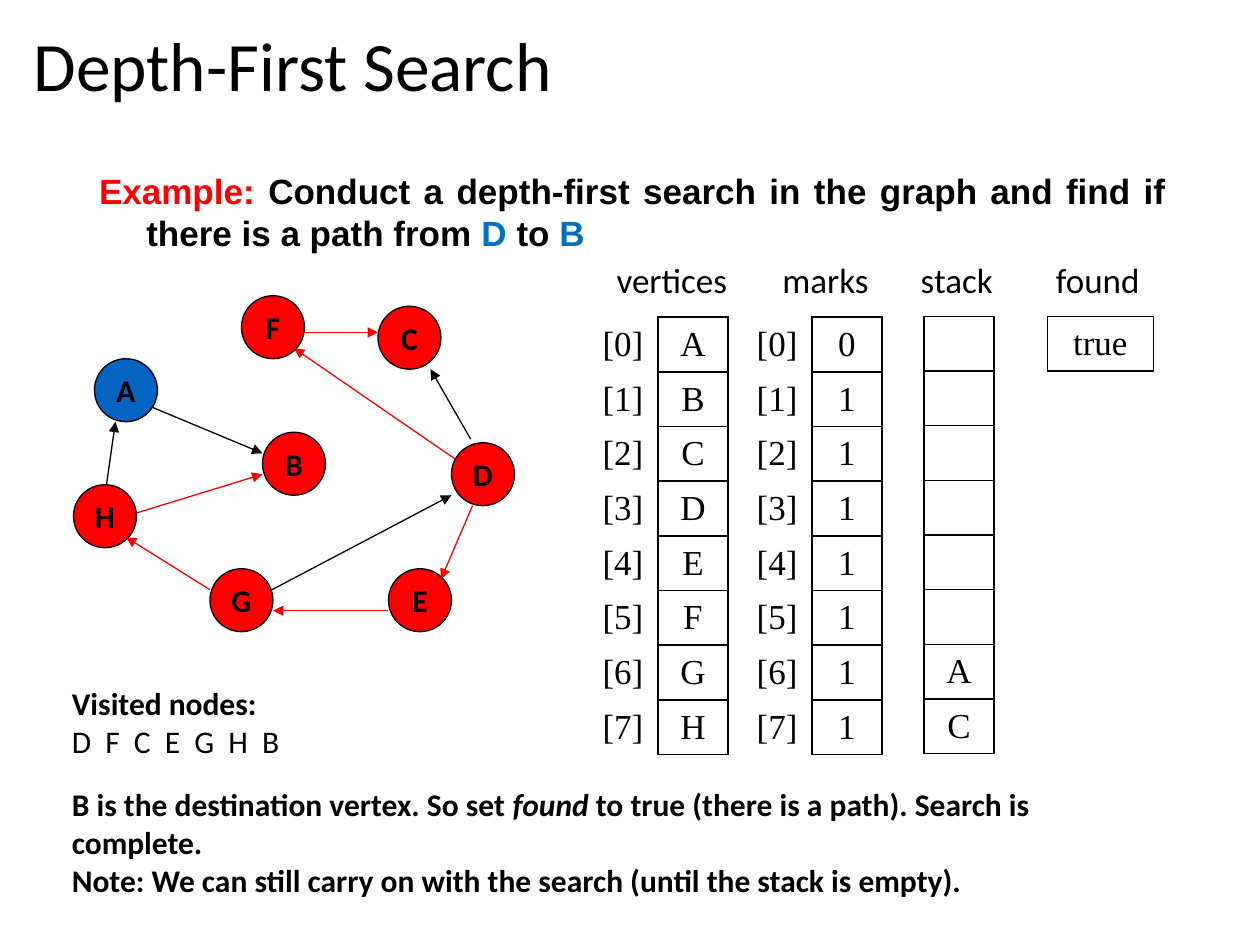
from lxml import etree
from pptx import Presentation
from pptx.dml.color import RGBColor
from pptx.enum.shapes import MSO_CONNECTOR, MSO_SHAPE
from pptx.enum.text import MSO_ANCHOR, PP_ALIGN
from pptx.oxml.ns import qn
from pptx.util import Pt

LEFT, CENTER, JUSTIFY = PP_ALIGN.LEFT, PP_ALIGN.CENTER, PP_ALIGN.JUSTIFY
MIDDLE = MSO_ANCHOR.MIDDLE
OVAL = MSO_SHAPE.OVAL
STRAIGHT = MSO_CONNECTOR.STRAIGHT
TITLE_ONLY = 5

BLACK, RED, BLUE, ACCENT = "000000", "FF0000", "0563C1", "0070C0"
NODE_SIZE = 36
ROW_HEIGHT = 31.25
HEADER_FONT = {"name": "Calibri", "size": Pt(20)}
BODY_FONT = {"name": "Calibri", "size": Pt(18), "bold": True}
CELL_FONT = {"name": "Times New Roman", "size": Pt(20)}
EXAMPLE_FONT = {"name": "Arial", "size": Pt(20), "bold": True}
TITLE_FONT = {"name": "Calibri", "size": Pt(39.6)}

NODES = {
    "A": (12, 36), "H": (0, 108), "B": (108, 78), "F": (96, 0),
    "E": (180, 156), "D": (216, 84), "C": (174, 6), "G": (78, 156),
}
EDGES = [
    (222, 96, 126, 30, RED), (228, 120, 210, 162, RED),
    (30, 126, 108, 102, RED), (102, 174, 216, 114, BLACK),
    (18, 114, 24, 72, BLACK), (36, 60, 108, 90, BLACK),
    (227, 82, 204, 42, BLACK), (180, 180, 114, 180, RED),
    (78, 168, 30, 138, RED), (132, 21, 174, 21, RED),
]


def color(hex_code):
    """Return the RGB colour for a hex string."""
    return RGBColor.from_string(hex_code)


def apply_format(target, values):
    """Set every attribute listed in a dict of format values."""
    for attribute, value in values.items():
        setattr(target, attribute, value)


def add_run(paragraph, text, font, ink=BLACK):
    """Append a formatted run and return it."""
    run = paragraph.add_run()
    run.text = text
    apply_format(run.font, font)
    run.font.color.rgb = color(ink)
    return run


def add_text_frame(slide, left, top, width, height):
    """Add a wrapping text box and return its frame."""
    frame = slide.shapes.add_textbox(Pt(left), Pt(top), Pt(width), Pt(height)).text_frame
    frame.word_wrap = True
    return frame


def add_title(slide, left, top, width, height):
    """Place and format the title placeholder."""
    title = slide.shapes.title
    apply_format(title, {"left": Pt(left), "top": Pt(top), "width": Pt(width), "height": Pt(height)})
    title.text_frame.vertical_anchor = MIDDLE
    heading = title.text_frame.paragraphs[0]
    apply_format(heading, {"alignment": LEFT, "line_spacing": 0.9})
    add_run(heading, "Depth-First Search", TITLE_FONT)


def add_example(slide, left, top, width, height):
    """Place the task statement with a hanging indent."""
    statement = add_text_frame(slide, left, top, width, height).paragraphs[0]
    statement.alignment = JUSTIFY
    apply_indent = {"marL": str(Pt(27)), "indent": str(Pt(-27))}
    for name, value in apply_indent.items():
        statement._p.get_or_add_pPr().set(name, value)
    for text, ink in [
        ("Example:", RED),
        (" Conduct a depth-first search in the graph and find if there is a path from ", BLACK),
        ("D", ACCENT), (" to ", BLACK), ("B", ACCENT),
    ]:
        add_run(statement, text, EXAMPLE_FONT, ink)


def add_edge(slide, start_x, start_y, end_x, end_y, ink):
    """Draw one directed edge with a triangular head."""
    edge = slide.shapes.add_connector(STRAIGHT, Pt(start_x), Pt(start_y), Pt(end_x), Pt(end_y))
    edge.line.width = Pt(0.75)
    edge.line.color.rgb = color(ink)
    etree.SubElement(edge.line._get_or_add_ln(), qn("a:tailEnd"), type="triangle")
    etree.SubElement(edge._element.spPr, qn("a:effectLst"))


def add_node(slide, left, top, vertex, fill):
    """Draw one labelled graph node."""
    node = slide.shapes.add_shape(OVAL, Pt(left), Pt(top), Pt(NODE_SIZE), Pt(NODE_SIZE))
    node.shadow.inherit = False
    node.fill.solid()
    node.fill.fore_color.rgb = color(fill)
    node.line.color.rgb = color(BLACK)
    node.line.width = Pt(0.75)
    apply_format(node.text_frame, {"word_wrap": False, "vertical_anchor": MIDDLE})
    label = node.text_frame.paragraphs[0]
    label.alignment = CENTER
    add_run(label, vertex, BODY_FONT)


def add_graph(slide, left, top):
    """Draw the directed graph, edges beneath the nodes."""
    for start_x, start_y, end_x, end_y, ink in EDGES:
        add_edge(slide, left + start_x, top + start_y, left + end_x, top + end_y, ink)
    for vertex, (x, y) in NODES.items():
        add_node(slide, left + x, top + y, vertex, BLUE if vertex == "A" else RED)


def set_borders(cell, visible):
    """Give a cell black borders, or none."""
    properties = cell._tc.get_or_add_tcPr()
    for side in ("lnL", "lnR", "lnT", "lnB"):
        border = etree.SubElement(properties, qn(f"a:{side}"), w=str(Pt(1)))
        if visible:
            ink = etree.SubElement(border, qn("a:solidFill"))
            etree.SubElement(ink, qn("a:srgbClr"), val=BLACK)
        else:
            etree.SubElement(border, qn("a:noFill"))


def add_array(slide, left, top, column_width, rows):
    """Draw an array whose last column is boxed and whose index column is not."""
    columns = len(rows[0])
    array = slide.shapes.add_table(
        len(rows), columns, Pt(left), Pt(top),
        Pt(column_width * columns), Pt(ROW_HEIGHT * len(rows)),
    ).table
    apply_format(array, {"first_row": False, "horz_banding": False})
    for column in array.columns:
        column.width = Pt(column_width)
    for r, values in enumerate(rows):
        array.rows[r].height = Pt(ROW_HEIGHT)
        for c, value in enumerate(values):
            cell = array.cell(r, c)
            set_borders(cell, c == columns - 1)
            cell.fill.background()
            cell.vertical_anchor = MIDDLE
            entry = cell.text_frame.paragraphs[0]
            entry.alignment = CENTER
            if value:
                add_run(entry, value, CELL_FONT)


def add_search_state(slide, left, top):
    """Place the four headed arrays that hold the state of the search."""
    for heading, x, width in [
        ("vertices", 4, 88), ("marks", 99, 73.5), ("stack", 174, 73.5), ("found", 254.5, 73.5),
    ]:
        header = add_text_frame(slide, left + x, top, width, 31).paragraphs[0]
        header.alignment = CENTER
        add_run(header, heading, HEADER_FONT)
    arrays_top = top + 37.25
    for x, values in [(0, "ABCDEFGH"), (88, "01111111")]:
        rows = [(f"[{index}]", value) for index, value in enumerate(values)]
        add_array(slide, left + x, arrays_top, 40, rows)
    add_array(slide, left + 192, arrays_top - 0.5, 40, [("",)] * 6 + [("A",), ("C",)])
    add_array(slide, left + 262.5, arrays_top - 0.5, 60.5, [("true",)])


def add_visited(slide, left, top, width, height):
    """List the visited nodes in order, with widened letter spacing."""
    frame = add_text_frame(slide, left, top, width, height)
    add_run(frame.paragraphs[0], "Visited nodes:", BODY_FONT)
    order = add_run(frame.add_paragraph(), "D F C E G H B", {**BODY_FONT, "bold": False})
    order._r.get_or_add_rPr().set("spc", "200")


def add_conclusion(slide, left, top, width, height):
    """Place the closing remarks."""
    frame = add_text_frame(slide, left, top, width, height)
    result = frame.paragraphs[0]
    add_run(result, "B is the destination vertex. So set ", BODY_FONT)
    add_run(result, "found", {**BODY_FONT, "italic": True})
    add_run(result, " to true (there is a path). Search is complete.", BODY_FONT)
    note = "Note: We can still carry on with the search (until the stack is empty)."
    add_run(frame.add_paragraph(), note, BODY_FONT)


def main():
    """Build the slide and save it."""
    deck = Presentation()
    apply_format(deck, {"slide_width": Pt(720), "slide_height": Pt(540)})
    slide = deck.slides.add_slide(deck.slide_layouts[TITLE_ONLY])
    add_title(slide, 12, 13, 693, 53)
    add_example(slide, 49.5, 93.5, 624, 55.5)
    add_graph(slide, 42, 169)
    add_search_state(slide, 336, 144)
    add_visited(slide, 34, 387.5, 284, 51)
    add_conclusion(slide, 34, 445, 632, 73)
    deck.save("out.pptx")


if __name__ == "__main__":
    main()
